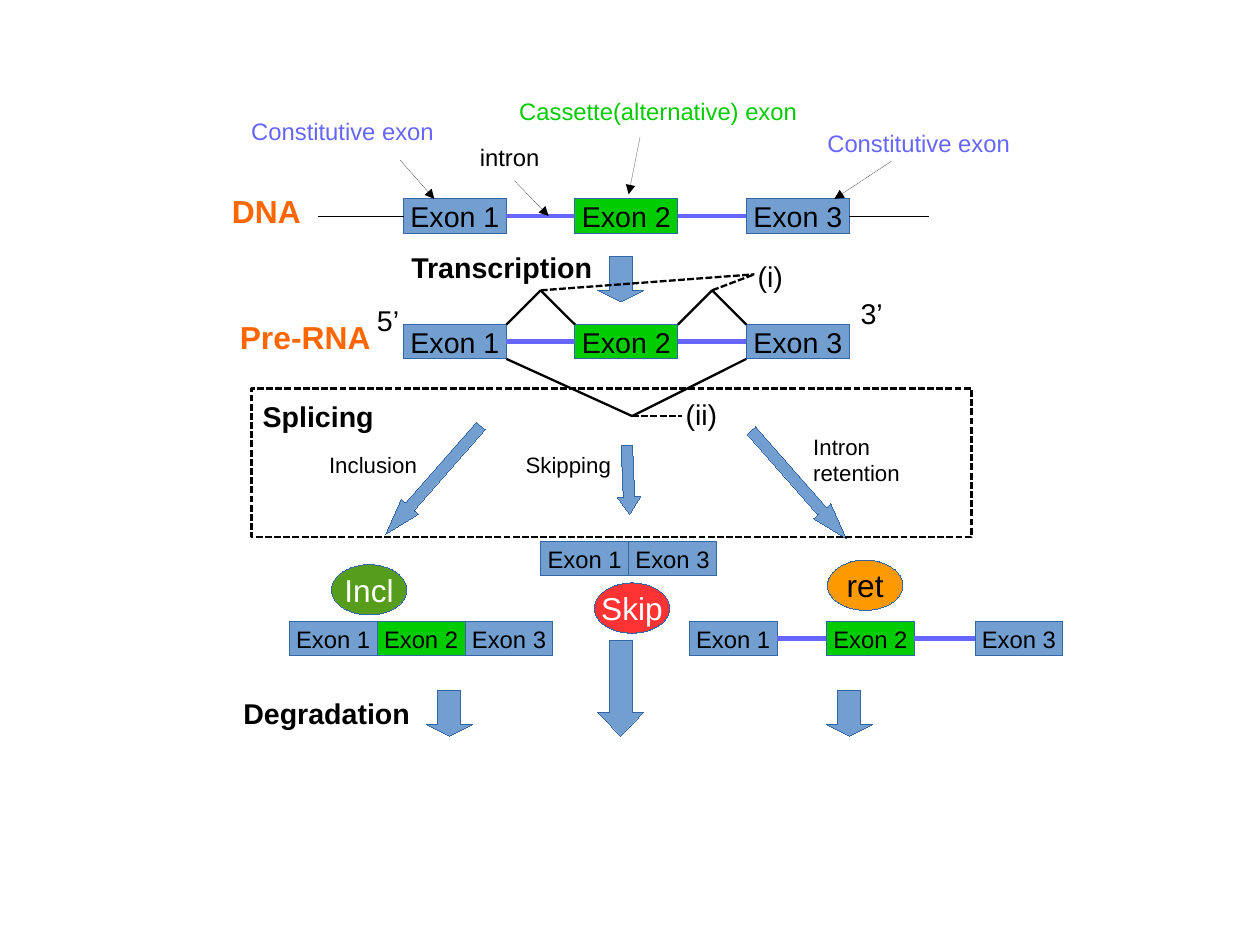
"""Build a slide on alternative splicing, from DNA to transcript degradation."""
from lxml import etree
from pptx import Presentation
from pptx.dml.color import RGBColor
from pptx.enum import dml, shapes, text
from pptx.oxml import ns
from pptx.util import Pt

BLACK = RGBColor(0x00, 0x00, 0x00)
WHITE = RGBColor(0xFF, 0xFF, 0xFF)
BLUE = RGBColor(0x72, 0x9F, 0xCF)
OUTLINE = RGBColor(0x34, 0x65, 0xA4)
GREEN = RGBColor(0x00, 0xCC, 0x00)
VIOLET = RGBColor(0x66, 0x66, 0xFF)
ORANGE = RGBColor(0xFF, 0x66, 0x00)
LEAF = RGBColor(0x57, 0x9D, 0x1C)
RED = RGBColor(0xFF, 0x33, 0x33)
AMBER = RGBColor(0xFF, 0x99, 0x00)

RECTANGLE = shapes.MSO_SHAPE.RECTANGLE
OVAL = shapes.MSO_SHAPE.OVAL
DOWN_ARROW = shapes.MSO_SHAPE.DOWN_ARROW
LEFT, CENTER = text.PP_ALIGN.LEFT, text.PP_ALIGN.CENTER
DASH = dml.MSO_LINE.SQUARE_DOT
HAIRLINE = 0.01

presentation = Presentation()
presentation.slide_width = Pt(793.7)
presentation.slide_height = Pt(595.28)
slide = presentation.slides.add_slide(presentation.slide_layouts[6])


def write_text(shape, words, size=18, color=BLACK, bold=False, align=LEFT,
               anchor=text.MSO_ANCHOR.TOP, wrap=True):
    frame = shape.text_frame
    frame.word_wrap = wrap
    frame.vertical_anchor = anchor
    frame.text = words
    for paragraph in frame.paragraphs:
        paragraph.alignment = align
        paragraph.font.name = "Arial"
        paragraph.font.size = Pt(size)
        paragraph.font.bold = bold
        paragraph.font.color.rgb = color


def draw_line(start, end, color=BLACK, width=1.45, dash=None, arrow=False):
    connector = slide.shapes.add_connector(
        shapes.MSO_CONNECTOR.STRAIGHT, *[Pt(value) for value in (*start, *end)])
    connector.line.color.rgb = color
    connector.line.width = Pt(width)
    if dash:
        connector.line.dash_style = dash
    if arrow:
        etree.SubElement(connector.get_or_add_ln(), ns.qn("a:tailEnd"), type="triangle")
    etree.SubElement(connector.element.spPr, ns.qn("a:effectLst"))
    return connector


WIDE, NARROW, EXON_HEIGHT = 64.8, 55.4, 21.6
DNA_TOP, PRE_RNA_TOP, PRODUCT_TOP, SKIPPED_TOP = 125.28, 204.48, 391.5, 341.2
wide_lefts = [254.2 + 108 * column for column in range(3)]
exon_rows = {
    "DNA": (DNA_TOP, WIDE, 18, zip((1, 2, 3), wide_lefts)),
    "Pre-RNA": (PRE_RNA_TOP, WIDE, 18, zip((1, 2, 3), wide_lefts)),
    "Inclusion": (PRODUCT_TOP, NARROW, 15,
                  [(number, 182.2 + NARROW * (number - 1)) for number in (1, 2, 3)]),
    "Skipping": (SKIPPED_TOP, NARROW, 15, [(1, 340.6), (3, 340.6 + NARROW)]),
    "Retention": (PRODUCT_TOP, NARROW, 15, [(1, 434.2), (2, 520.6), (3, 614.2)]),
}
boxes = [
    (row, RECTANGLE, f"Exon {number}", (left, top, width, EXON_HEIGHT),
     GREEN if number == 2 else BLUE, BLACK, size)
    for row, (top, width, size, exons) in exon_rows.items() for number, left in exons
]
boxes += [
    ("Badges", OVAL, words, (left, top, 47.5, 31.7), fill, color, 19.9)
    for words, left, top, fill, color in [
        ("Incl", 208.8, 355.7, LEAF, WHITE),
        ("Skip", 374.4, 367.2, RED, WHITE),
        ("ret", 521.3, 352.8, AMBER, BLACK)]
]
boxes += [("Arrows", DOWN_ARROW, "", bounds, BLUE, BLACK, 18) for bounds in [
    (376.6, 161.3, 28.8, 28.8),
    (265.7, 257, 14.4, 90.7),
    (388.6, 280.8, 14.4, 43.2),
    (496.1, 259.9, 14.4, 90.7),
    (376.6, 403.2, 28.8, 60.5),
    (268.6, 434.9, 28.8, 28.8),
    (520.6, 434.9, 28.8, 28.8)]]

drawn = {}
for group, preset, words, bounds, fill, color, size in boxes:
    shape = slide.shapes.add_shape(preset, *[Pt(value) for value in bounds])
    shape.shadow.inherit = False
    shape.fill.solid()
    shape.fill.fore_color.rgb = fill
    shape.line.color.rgb = OUTLINE
    shape.line.width = Pt(HAIRLINE)
    if words:
        write_text(shape, words, size=size, color=color, align=CENTER,
                   anchor=text.MSO_ANCHOR.MIDDLE, wrap=False)
    drawn.setdefault(group, []).append(shape)

arrow_forms = [(0, 0.25), (41.3, 1.6), (-2.4, 0.75), (-41.3, 1.6), (0, 0.52), (0, 0.25), (0, 0.25)]
for arrow, (rotation, head) in zip(drawn["Arrows"], arrow_forms):
    arrow.rotation = rotation
    arrow.adjustments[0] = 0.5
    arrow.adjustments[1] = head

for row in ("DNA", "Pre-RNA", "Retention"):
    for before, after in zip(drawn[row], drawn[row][1:]):
        intron = draw_line((0, 0), (1, 1), color=VIOLET, width=2.89)
        intron.begin_connect(before, 3)
        intron.end_connect(after, 1)

dna_middle = DNA_TOP + EXON_HEIGHT / 2
for outer_end, exon, side in [(200.9, drawn["DNA"][0], 1), (584.6, drawn["DNA"][2], 3)]:
    strand = draw_line((outer_end, dna_middle), (outer_end + 1, dna_middle), width=HAIRLINE)
    strand.end_connect(exon, side)

splicing_box = slide.shapes.add_shape(RECTANGLE, Pt(158.4), Pt(244.8), Pt(453.6), Pt(93.6))
splicing_box.shadow.inherit = False
splicing_box.fill.background()
splicing_box.line.color.rgb = BLACK
splicing_box.line.width = Pt(1.45)
splicing_box.line.dash_style = DASH

peaks = [(340.6, 182.9), (448.6, 182.9)]
valley = (398.2, 262.1)
for left, peak in zip(wide_lefts, peaks):
    draw_line((left + WIDE, PRE_RNA_TOP), peak)
    draw_line((left + 108, PRE_RNA_TOP), peak)
    draw_line(peak, (475.2, 172.8), dash=DASH)
for corner in (wide_lefts[0] + WIDE, wide_lefts[2]):
    draw_line((corner, PRE_RNA_TOP + EXON_HEIGHT), valley)
draw_line(valley, (429.8, 262.1), dash=DASH)

for start, end in [((324, 113.8), (345.6, 136.1)), ((561.6, 101.5), (525.6, 125.3)),
                   ((252, 100.8), (273.6, 125.3)), ((403.2, 86.4), (396, 122.4))]:
    draw_line(start, end, width=HAIRLINE, arrow=True)

labels = [
    ("Constitutive exon", (151.2, 69.8, 136.8, 23.8), 15, VIOLET, False),
    ("Cassette(alternative) exon", (320, 57.6, 194.4, 28.8), 15, GREEN, False),
    ("Constitutive exon", (514.1, 77.8, 136.8, 23.8), 15, VIOLET, False),
    ("intron", (295.2, 86.4, 86.4, 27.4), 15, BLACK, False),
    ("DNA", (139, 117.4, 62.6, 33.8), 20, ORANGE, True),
    ("Transcription", (252, 154.1, 129.6, 28.8), 18, BLACK, True),
    ("(i)", (470.2, 159.8, 36, 27.4), 18, BLACK, False),
    ("Pre-RNA", (144, 196.6, 100.8, 51.8), 20, ORANGE, True),
    ("5’", (230.4, 187.2, 28.8, 47.5), 18, BLACK, False),
    ("3’", (535, 182.9, 28.8, 47.5), 18, BLACK, False),
    ("Splicing", (158.4, 247.7, 86.4, 47.5), 18, BLACK, True),
    ("(ii)", (424.8, 246.2, 36, 27.4), 18, BLACK, False),
    ("Inclusion", (200.2, 280.8, 73.4, 28.8), 14, BLACK, False),
    ("Skipping", (324, 280.8, 86.4, 43.2), 14, BLACK, False),
    ("Intron\nretention", (505.2, 269.3, 93.6, 47.5), 14, BLACK, False),
    ("Degradation", (146.2, 434.6, 122.4, 47.5), 18, BLACK, True),
]
for words, bounds, size, color, bold in labels:
    label = slide.shapes.add_textbox(*[Pt(value) for value in bounds])
    write_text(label, words, size=size, color=color, bold=bold)

presentation.save("out.pptx")
